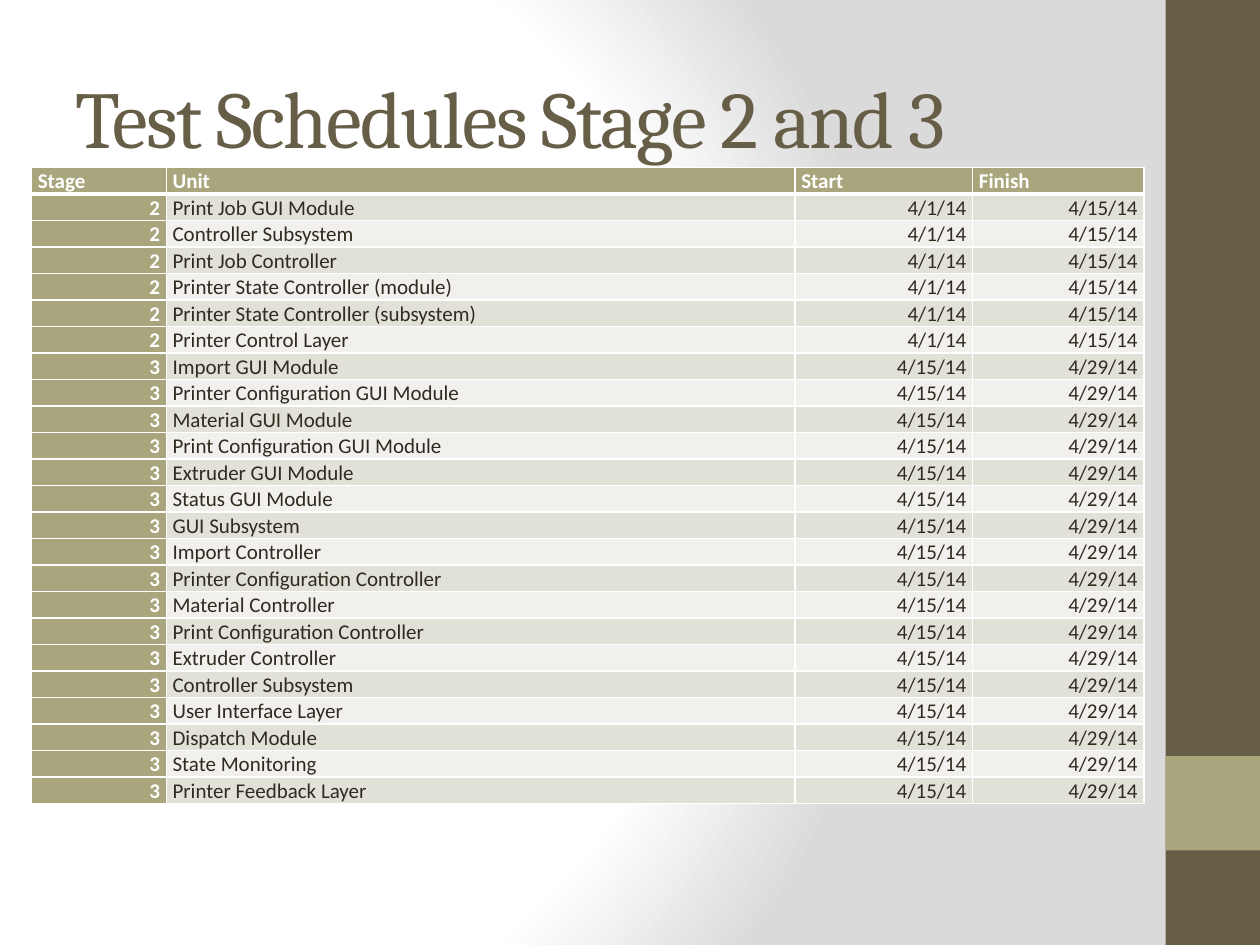
import lxml.etree
import pptx
import pptx.dml.color
import pptx.enum.shapes
import pptx.enum.text
import pptx.oxml
import pptx.oxml.ns
import pptx.util

COLORS = {
    "brown": "675E47",
    "olive": "A9A57C",
    "ink": "2F2B20",
    "white": "FFFFFF",
    "gray": "DADADA",
    "odd_band": "E2E1D7",
    "even_band": "F1F0EC",
}
SLIDE_WIDTH, SLIDE_HEIGHT = 10, 7.5
COLUMN_WIDTHS = [1.07, 4.99, 1.41, 1.36]
HEADERS = ["Stage", "Unit", "Start", "Finish"]
STAGES = [
    ("2", "4/1/14", "4/15/14", [
        "Print Job GUI Module", "Controller Subsystem", "Print Job Controller",
        "Printer State Controller (module)", "Printer State Controller (subsystem)",
        "Printer Control Layer",
    ]),
    ("3", "4/15/14", "4/29/14", [
        "Import GUI Module", "Printer Configuration GUI Module", "Material GUI Module",
        "Print Configuration GUI Module", "Extruder GUI Module", "Status GUI Module",
        "GUI Subsystem", "Import Controller", "Printer Configuration Controller",
        "Material Controller", "Print Configuration Controller", "Extruder Controller",
        "Controller Subsystem", "User Interface Layer", "Dispatch Module",
        "State Monitoring", "Printer Feedback Layer",
    ]),
]


def rgb(name):
    return pptx.dml.color.RGBColor.from_string(COLORS[name])


def inches(box):
    return [pptx.util.Inches(length) for length in box]


def style_font(font, name, size, color, bold=False):
    font.name = name
    font.size = pptx.util.Pt(size)
    font.bold = bold
    font.color.rgb = rgb(color)


def set_background(slide):
    """Fill the slide with a circular gradient centred left of the middle."""
    stops = "".join(
        f'<a:gs pos="{percent * 1000}"><a:srgbClr val="{COLORS[color]}"/></a:gs>'
        for percent, color in [(0, "white"), (75, "white"), (100, "gray")]
    )
    background = pptx.oxml.parse_xml(
        f'<p:bg {pptx.oxml.ns.nsdecls("p", "a")}><p:bgPr><a:gradFill rotWithShape="1">'
        f'<a:gsLst>{stops}</a:gsLst><a:path path="circle">'
        '<a:fillToRect l="20000" t="50000" r="100000" b="50000"/></a:path>'
        '</a:gradFill><a:effectLst/></p:bgPr></p:bg>'
    )
    slide.element.cSld.insert(0, background)


def add_sidebar(slide, box):
    """Draw a full-height band with a square accent near its foot."""
    left, top, width, height = box
    accent = (left, top + height * 0.8, width, width)
    for part, color in [(box, "brown"), (accent, "olive")]:
        shape = slide.shapes.add_shape(
            pptx.enum.shapes.MSO_SHAPE.RECTANGLE, *inches(part))
        shape.shadow.inherit = False
        shape.fill.solid()
        shape.fill.fore_color.rgb = rgb(color)
        shape.line.fill.background()


def add_title(slide, box, text):
    frame = slide.shapes.add_textbox(*inches(box)).text_frame
    frame.word_wrap = True
    frame.vertical_anchor = pptx.enum.text.MSO_ANCHOR.MIDDLE
    paragraph = frame.paragraphs[0]
    paragraph.text = text
    style_font(paragraph.font, "Cambria", 46, "brown")
    paragraph.runs[0]._r.get_or_add_rPr().set("spc", "-100")


def set_borders(cell, widths):
    """Draw white borders, with widths in points by side."""
    properties = cell._tc.get_or_add_tcPr()
    for index, side in enumerate("LRTB"):
        line = lxml.etree.Element(
            pptx.oxml.ns.qn(f"a:ln{side}"), w=str(pptx.util.Pt(widths.get(side, 1))))
        fill = lxml.etree.SubElement(line, pptx.oxml.ns.qn("a:solidFill"))
        lxml.etree.SubElement(
            fill, pptx.oxml.ns.qn("a:srgbClr"), val=COLORS["white"])
        properties.insert(index, line)


def fill_cell(cell, text, row, column):
    """Write and style one cell by its place in the schedule."""
    align = pptx.enum.text.PP_ALIGN
    is_heading = row == 0 or column == 0
    cell.margin_left = cell.margin_right = pptx.util.Inches(0.05)
    cell.margin_top = cell.margin_bottom = 0
    cell.fill.solid()
    band = "odd_band" if row % 2 else "even_band"
    cell.fill.fore_color.rgb = rgb("olive" if is_heading else band)
    set_borders(cell, {0: {"B": 3}, 1: {"T": 3}}.get(row, {}))

    paragraph = cell.text_frame.paragraphs[0]
    paragraph.text = text
    paragraph.line_spacing = 1.05
    if row == 0:
        paragraph.alignment = align.LEFT
    else:
        paragraph.alignment = align.JUSTIFY if column == 1 else align.RIGHT
    style_font(paragraph.font, "Calibri", 12, "white" if is_heading else "ink", is_heading)


def add_schedule(slide, box):
    rows = [HEADERS] + [
        [stage, unit, start, finish]
        for stage, start, finish, units in STAGES for unit in units
    ]
    table = slide.shapes.add_table(len(rows), len(HEADERS), *inches(box)).table
    for column, width in zip(table.columns, COLUMN_WIDTHS):
        column.width = pptx.util.Inches(width)
    for row, values in enumerate(rows):
        for column, text in enumerate(values):
            fill_cell(table.cell(row, column), text, row, column)


def main():
    presentation = pptx.Presentation()
    presentation.slide_width, presentation.slide_height = inches((SLIDE_WIDTH, SLIDE_HEIGHT))
    slide = presentation.slides.add_slide(presentation.slide_layouts[6])
    set_background(slide)
    sidebar_width = SLIDE_HEIGHT / 10
    add_sidebar(slide, (SLIDE_WIDTH - sidebar_width, 0, sidebar_width, SLIDE_HEIGHT))
    add_title(slide, (0.5, 0.3, 8.33, 1.25), "Test Schedules Stage 2 and 3")
    add_schedule(slide, (0.25, 1.33, sum(COLUMN_WIDTHS), 5.04))
    presentation.save("out.pptx")


if __name__ == "__main__":
    main()
